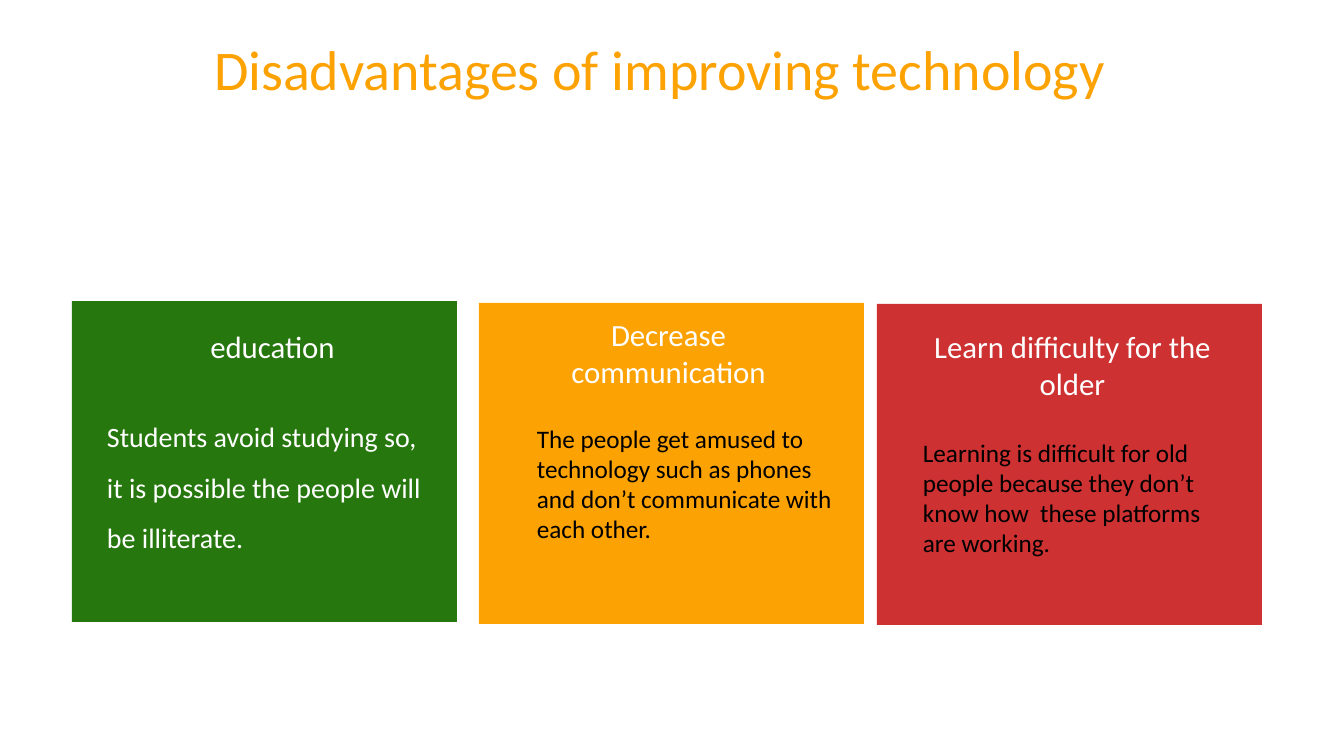
from pptx import Presentation
from pptx.dml.color import RGBColor
from pptx.enum.shapes import MSO_SHAPE
from pptx.enum.text import MSO_ANCHOR, MSO_AUTO_SIZE, PP_ALIGN
from pptx.util import Emu, Pt

RECTANGLE = MSO_SHAPE.RECTANGLE
TOP = MSO_ANCHOR.TOP
NO_AUTOFIT = MSO_AUTO_SIZE.NONE
CENTER, LEFT = PP_ALIGN.CENTER, PP_ALIGN.LEFT

PIXEL = 914400 / 100.8
TITLE_ONLY = 5
ORANGE, WHITE, BLACK = "FDA203", "FFFFFF", "000000"
CARD_WIDTH, CARD_HEIGHT = 385, 321


def pixels(*lengths):
    """Turn pixel lengths into EMU."""
    return [Emu(round(length * PIXEL)) for length in lengths]


def write(shape, text, size, color, alignment, line_spacing=1.0):
    """Put one formatted paragraph into a shape, starting at its top."""
    frame = shape.text_frame
    frame.word_wrap = True
    frame.auto_size = NO_AUTOFIT
    frame.vertical_anchor = TOP
    frame.text = text
    paragraph = frame.paragraphs[0]
    paragraph.alignment = alignment
    paragraph.line_spacing = line_spacing
    paragraph.font.name = "Calibri"
    paragraph.font.size = Pt(size)
    paragraph.font.color.rgb = RGBColor.from_string(color)


presentation = Presentation()
presentation.slide_width, presentation.slide_height = pixels(1344, 756)
slide = presentation.slides.add_slide(presentation.slide_layouts[TITLE_ONLY])

title = slide.shapes.title
title.left, title.top, title.width, title.height = pixels(25, 29, 1269, 78)
write(title, "Disadvantages of improving technology", 40, ORANGE, CENTER)

# Each card: left, top, fill, heading, heading box, body, body box, body size, color, spacing
cards = [
    (72, 301, "27770F",
     "education", (108, 323, 329, 47),
     "Students avoid studying so, it is possible the people will be illiterate.",
     (97, 398, 341, 157), 20, WHITE, 1.5),
    (479, 303, ORANGE,
     "Decrease communication", (504, 311, 329, 85),
     "The people get amused to technology such as phones and don’t communicate "
     "with each other.",
     (527, 418, 329, 132), 18, BLACK, 1.0),
    (877, 304, "CD3131",
     "Learn difficulty for the older", (908, 323, 329, 85),
     "Learning is difficult for old people because they don’t know how  these "
     "platforms are working.",
     (913, 432, 320, 132), 18, BLACK, 1.0),
]

for (left, top, fill, heading, heading_box,
     body, body_box, body_size, body_color, body_spacing) in cards:
    card = slide.shapes.add_shape(
        RECTANGLE, *pixels(left, top, CARD_WIDTH, CARD_HEIGHT))
    card.shadow.inherit = False
    card.fill.solid()
    card.fill.fore_color.rgb = RGBColor.from_string(fill)
    card.line.fill.background()

    heading_shape = slide.shapes.add_textbox(*pixels(*heading_box))
    write(heading_shape, heading, 22, WHITE, CENTER)
    body_shape = slide.shapes.add_textbox(*pixels(*body_box))
    write(body_shape, body, body_size, body_color, LEFT, body_spacing)

presentation.save("out.pptx")
